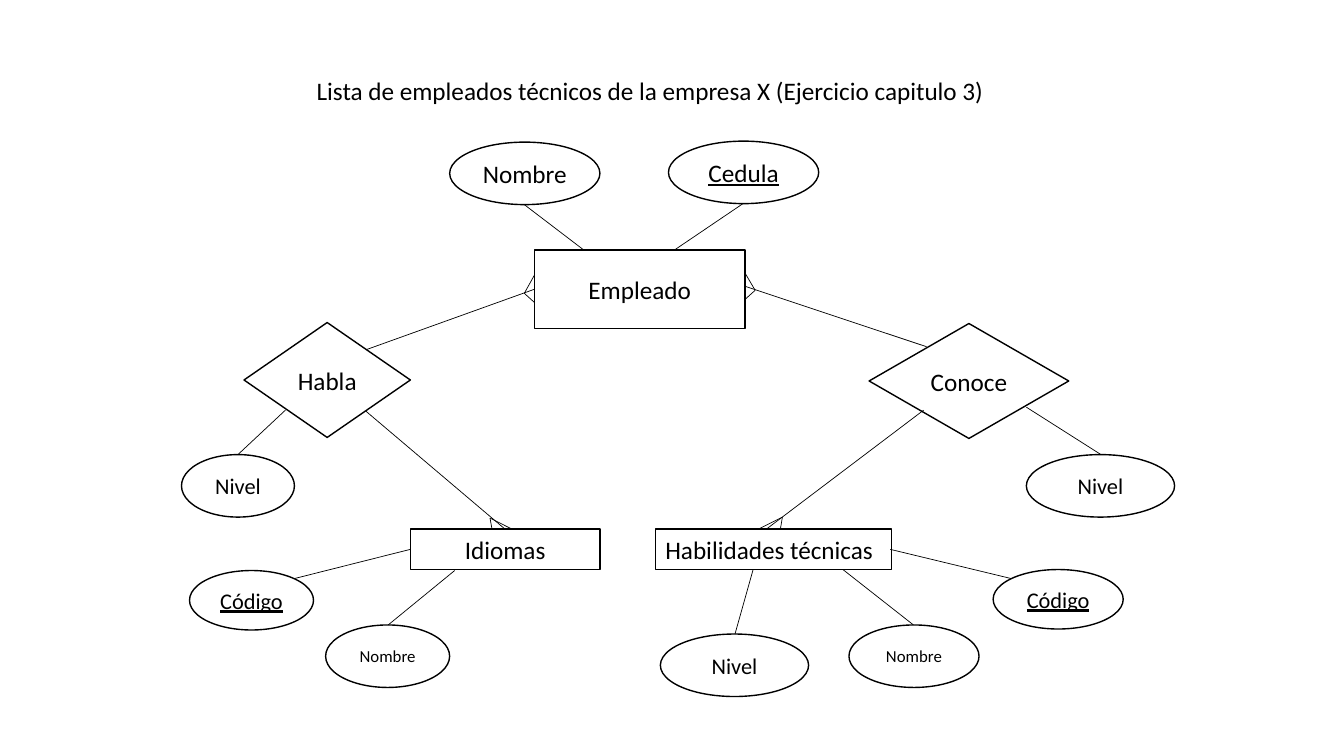
import pptx
import pptx.dml.color
import pptx.enum.shapes
import pptx.enum.text
import pptx.oxml.ns
import pptx.presentation
import pptx.shapes.autoshape
import pptx.shapes.connector
import pptx.slide
import pptx.text.text
import pptx.util
from dataclasses import dataclass
from typing import NamedTuple

PX_PER_INCH = 100
FONT = "Calibri"
INK = "000000"
PAPER = "FFFFFF"
ENTITY = pptx.enum.shapes.MSO_SHAPE.RECTANGLE
RELATION = pptx.enum.shapes.MSO_SHAPE.FLOWCHART_DECISION
ATTRIBUTE = pptx.enum.shapes.MSO_SHAPE.OVAL
CENTER = pptx.enum.text.PP_ALIGN.CENTER
LEFT = pptx.enum.text.PP_ALIGN.LEFT


class Point(NamedTuple):
    """A place on the slide in px."""
    x: int
    y: int


class Link(NamedTuple):
    """A straight line between two points."""
    start: Point
    end: Point


class CrowFoot(NamedTuple):
    """A "many" mark: one tip that spreads to two toes."""
    tip: Point
    toes: tuple[Point, Point]


@dataclass(frozen=True)
class Node:
    """An entity, relation or attribute of the diagram."""
    kind: pptx.enum.shapes.MSO_SHAPE
    label: str
    left: int
    top: int
    width: int
    height: int
    size: int = 18
    is_key: bool = False
    align: pptx.enum.text.PP_ALIGN = CENTER


NODES = [
    Node(ENTITY, "Habilidades técnicas", 650, 525, 234, 40, align=LEFT),
    Node(ENTITY, "Idiomas", 407, 525, 188, 40),
    Node(ENTITY, "Empleado", 530, 248, 209, 78),
    Node(RELATION, "Habla", 242, 320, 165, 114),
    Node(RELATION, "Conoce", 862, 321, 198, 114),
    Node(ATTRIBUTE, "Nombre", 446, 141, 149, 62),
    Node(ATTRIBUTE, "Cedula", 663, 140, 149, 62, is_key=True),
    Node(ATTRIBUTE, "Nombre", 323, 620, 123, 62, 12),
    Node(ATTRIBUTE, "Nivel", 180, 451, 112, 62, 16),
    Node(ATTRIBUTE, "Código", 188, 566, 123, 59, 16, True),
    Node(ATTRIBUTE, "Nombre", 842, 620, 129, 62, 12),
    Node(ATTRIBUTE, "Nivel", 655, 629, 147, 62, 16),
    Node(ATTRIBUTE, "Código", 985, 565, 129, 59, 16, True),
    Node(ATTRIBUTE, "Nivel", 1018, 451, 147, 62, 16),
]

LINKS = [
    Link(Point(579, 248), Point(520, 203)),
    Link(Point(669, 248), Point(737, 202)),
    Link(Point(363, 347), Point(530, 287)),
    Link(Point(363, 408), Point(501, 525)),
    Link(Point(919, 344), Point(739, 284)),
    Link(Point(916, 407), Point(760, 525)),
    Link(Point(407, 545), Point(292, 574)),
    Link(Point(451, 566), Point(385, 620)),
    Link(Point(283, 407), Point(236, 451)),
    Link(Point(883, 545), Point(1003, 574)),
    Link(Point(836, 565), Point(906, 620)),
    Link(Point(747, 565), Point(729, 629)),
    Link(Point(1018, 404), Point(1092, 451)),
]

CROW_FEET = [
    CrowFoot(Point(520, 291), (Point(530, 273), Point(530, 300))),
    CrowFoot(Point(749, 288), (Point(739, 271), Point(739, 297))),
    CrowFoot(Point(486, 514), (Point(488, 525), Point(508, 525))),
    CrowFoot(Point(776, 513), (Point(774, 525), Point(752, 525))),
]


def px(length: int) -> pptx.util.Emu:
    """Turn px into EMU."""
    return pptx.util.Emu(length * 914400 // PX_PER_INCH)


def color(hex_code: str) -> pptx.dml.color.RGBColor:
    """Turn a hex string into a colour."""
    return pptx.dml.color.RGBColor.from_string(hex_code)


def write(frame: pptx.text.text.TextFrame, text: str, size: int,
          align: pptx.enum.text.PP_ALIGN) -> pptx.text.text.Font:
    """Write one line of text and return its font."""
    frame.text = text
    paragraph = frame.paragraphs[0]
    paragraph.alignment = align
    paragraph.font.name = FONT
    paragraph.font.size = pptx.util.Pt(size)
    paragraph.font.color.rgb = color(INK)
    return paragraph.font


def add_title(slide: pptx.slide.Slide, text: str) -> None:
    """Place the heading in the title placeholder."""
    heading = slide.shapes.title
    heading.left, heading.top = px(304), px(70)
    heading.width, heading.height = px(684), px(40)
    write(heading.text_frame, text, 18, LEFT)
    heading.text_frame.auto_size = pptx.enum.text.MSO_AUTO_SIZE.NONE
    heading.text_frame.word_wrap = False


def add_node(slide: pptx.slide.Slide, node: Node) -> pptx.shapes.autoshape.Shape:
    """Draw a labelled node."""
    outline = slide.shapes.add_shape(
        node.kind, px(node.left), px(node.top), px(node.width), px(node.height))
    outline.shadow.inherit = False
    outline.fill.solid()
    outline.fill.fore_color.rgb = color(PAPER)
    outline.line.color.rgb = color(INK)
    outline.line.width = pptx.util.Pt(1)
    frame = outline.text_frame
    frame.word_wrap = True
    frame.vertical_anchor = pptx.enum.text.MSO_ANCHOR.MIDDLE
    font = write(frame, node.label, node.size, node.align)
    if node.is_key:
        font.underline = True
    return outline


def add_link(slide: pptx.slide.Slide, link: Link) -> pptx.shapes.connector.Connector:
    """Draw a thin line without a shadow."""
    edge = slide.shapes.add_connector(
        pptx.enum.shapes.MSO_CONNECTOR.STRAIGHT,
        px(link.start.x), px(link.start.y), px(link.end.x), px(link.end.y))
    edge.line.color.rgb = color(INK)
    edge.line.width = pptx.util.Pt(0.5)
    properties = edge._element.spPr
    properties.append(properties.makeelement(pptx.oxml.ns.qn("a:effectLst"), {}))
    return edge


def main() -> None:
    """Build the entity-relation slide."""
    deck = pptx.Presentation()
    deck.slide_width, deck.slide_height = px(1333), px(750)
    slide = deck.slides.add_slide(deck.slide_layouts.get_by_name("Title Only"))
    add_title(slide, "Lista de empleados técnicos de la empresa X (Ejercicio capitulo 3)")
    for node in NODES:
        add_node(slide, node)
    for link in LINKS:
        add_link(slide, link)
    for foot in CROW_FEET:
        for toe in foot.toes:
            add_link(slide, Link(foot.tip, toe))
    deck.save("out.pptx")


if __name__ == "__main__":
    main()
